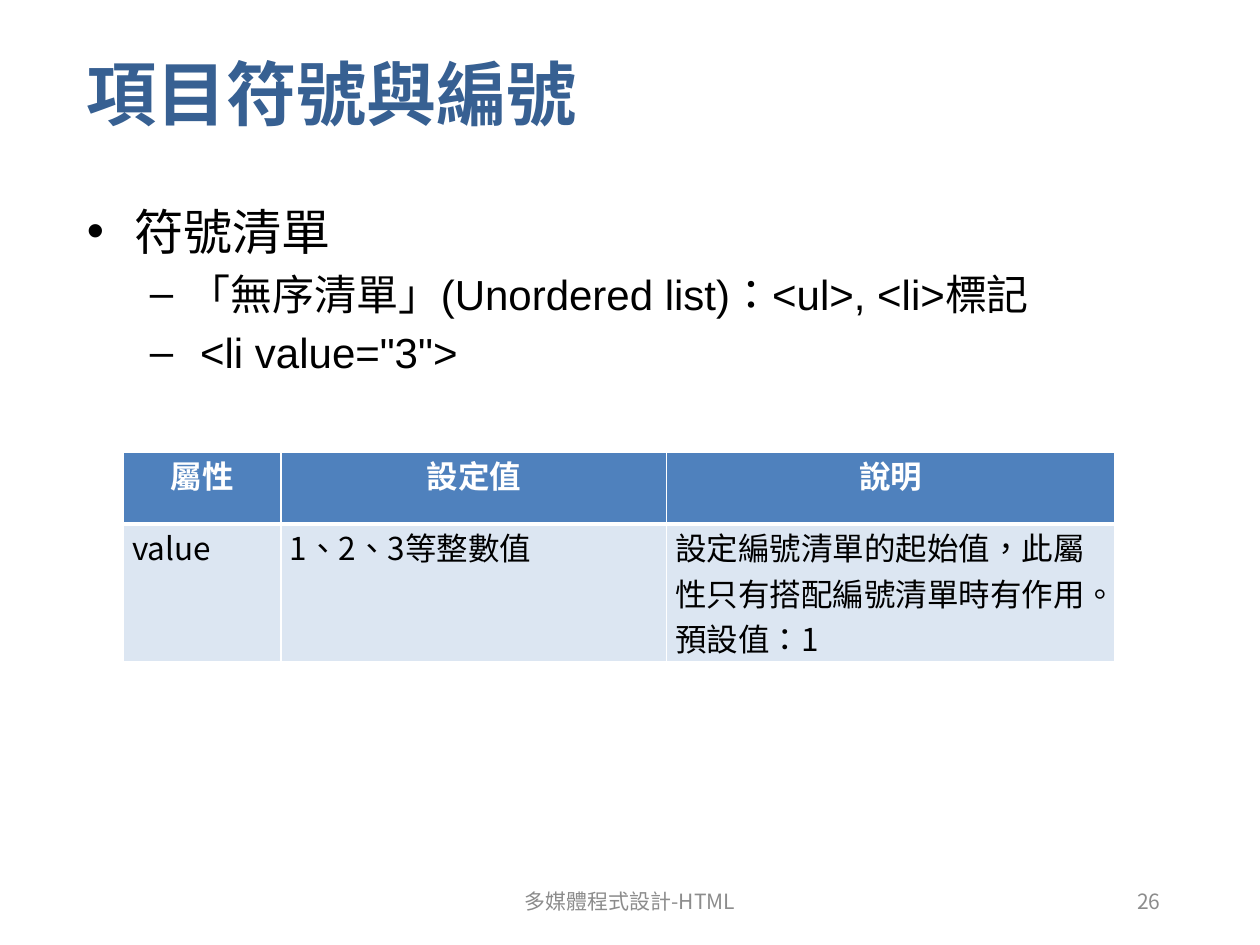
from dataclasses import dataclass

from lxml.etree import SubElement
from pptx import Presentation
from pptx.dml.color import RGBColor
from pptx.enum.text import MSO_ANCHOR as Anchor, PP_ALIGN as Align
from pptx.oxml.ns import qn
from pptx.util import Inches, Pt


@dataclass(frozen=True)
class Theme:
    title: str = "376092"
    body: str = "000000"
    footer: str = "8C8C8C"
    white: str = "FFFFFF"
    header_fill: str = "4F81BD"
    row_fill: str = "DCE6F2"
    latin: str = "Arial"
    cjk: str = "Noto Sans CJK SC"
    footer_font: str = "Noto Sans CJK KR"
    language: str = "zh-TW"
    title_size: int = 40
    item_size: int = 28
    subitem_size: int = 24
    table_size: int = 18
    footer_size: int = 12


THEME = Theme()

# text, level, left margin, hanging indent, bullet, size
BULLETS = [
    ("符號清單", 0, 0.38, 0.38, "•", THEME.item_size),
    ("「無序清單」(Unordered list)：<ul>, <li>標記", 1, 0.81, 0.31, "–", THEME.subitem_size),
    ('<li value="3">', 1, 0.9, 0.4, "–", THEME.subitem_size),
]
ATTRIBUTES = [
    ("屬性", "設定值", "說明"),
    ("value", "1、2、3等整數值", "設定編號清單的起始值，此屬性只有搭配編號清單時有作用。預設值：1"),
]


def write(paragraph, text, size, color, latin, east_asian, bold=False):
    run = paragraph.add_run()
    run.text = text
    for name, value in {"size": Pt(size), "bold": bold, "name": latin}.items():
        setattr(run.font, name, value)
    run.font.color.rgb = RGBColor.from_string(color)
    properties = run.font._element
    properties.set("lang", THEME.language)
    east_asian_font = SubElement(properties, qn("a:ea"), typeface=east_asian)
    properties.find(qn("a:latin")).addnext(east_asian_font)


def add_frame(slide, box, anchor):
    frame = slide.shapes.add_textbox(*map(Inches, box)).text_frame
    frame.word_wrap = True
    frame.vertical_anchor = anchor
    return frame


def add_line(slide, box, text, align, **style):
    paragraph = add_frame(slide, box, Anchor.MIDDLE).paragraphs[0]
    paragraph.alignment = align
    write(paragraph, text, **style)


def add_bullets(slide, box):
    frame = add_frame(slide, box, Anchor.TOP)
    for index, (text, level, margin, hanging, bullet, size) in enumerate(BULLETS):
        paragraph = frame.add_paragraph() if index else frame.paragraphs[0]
        paragraph.level = level
        if index:
            paragraph.space_before = Pt(4.5)
        properties = paragraph._p.get_or_add_pPr()
        properties.set("marL", str(Inches(margin)))
        properties.set("indent", str(-Inches(hanging)))
        SubElement(properties, qn("a:buFont"), typeface=THEME.latin)
        SubElement(properties, qn("a:buChar"), char=bullet)
        write(paragraph, text, size, THEME.body, THEME.latin, THEME.cjk)


def set_borders(cell, widths):
    properties = cell._tc.get_or_add_tcPr()
    for side, width in widths.items():
        line = SubElement(properties, qn(f"a:ln{side}"), w=str(Pt(width)))
        fill = SubElement(line, qn("a:solidFill"))
        SubElement(fill, qn("a:srgbClr"), val=THEME.white)


def fill_cell(cell, text, is_header):
    insets = {"margin_left": 0.07, "margin_right": 0.07, "margin_top": 0, "margin_bottom": 0}
    for name, value in insets.items():
        setattr(cell, name, Inches(value))
    top, bottom = (1, 3) if is_header else (3, 1)
    set_borders(cell, {"L": 1, "R": 1, "T": top, "B": bottom})
    cell.fill.solid()
    cell.fill.fore_color.rgb = RGBColor.from_string(
        THEME.header_fill if is_header else THEME.row_fill)
    paragraph = cell.text_frame.paragraphs[0]
    paragraph.alignment = Align.CENTER if is_header else Align.LEFT
    write(paragraph, text, THEME.table_size, THEME.white if is_header else THEME.body,
          THEME.cjk, THEME.cjk, bold=is_header)


def add_attribute_table(slide, left, top, widths, heights):
    box = (left, top, sum(widths), sum(heights))
    table = slide.shapes.add_table(
        len(heights), len(widths), *map(Inches, box)).table
    for column, width in zip(table.columns, widths):
        column.width = Inches(width)
    for row, height, texts in zip(table.rows, heights, ATTRIBUTES):
        row.height = Inches(height)
        for cell, text in zip(row.cells, texts):
            fill_cell(cell, text, is_header=texts is ATTRIBUTES[0])


def main():
    deck = Presentation()
    deck.slide_width, deck.slide_height = Inches(10), Inches(7.5)
    slide = deck.slides.add_slide(deck.slide_layouts[6])
    add_line(slide, (0.59, 0.05, 8.72, 1.37), "項目符號與編號", Align.LEFT,
             size=THEME.title_size, color=THEME.title, latin=THEME.latin,
             east_asian=THEME.cjk, bold=True)
    add_bullets(slide, (0.59, 1.55, 8.72, 5.28))
    add_attribute_table(slide, 0.98, 3.59, (1.25, 3.06, 3.56), (0.57, 1.09))
    footer = {"size": THEME.footer_size, "color": THEME.footer,
              "latin": THEME.footer_font, "east_asian": THEME.footer_font}
    add_line(slide, (7.06, 6.95, 2.25, 0.4), "26", Align.RIGHT, **footer)
    add_line(slide, (3.31, 6.95, 3.38, 0.4), "多媒體程式設計-HTML", Align.CENTER, **footer)
    deck.save("out.pptx")


if __name__ == "__main__":
    main()
